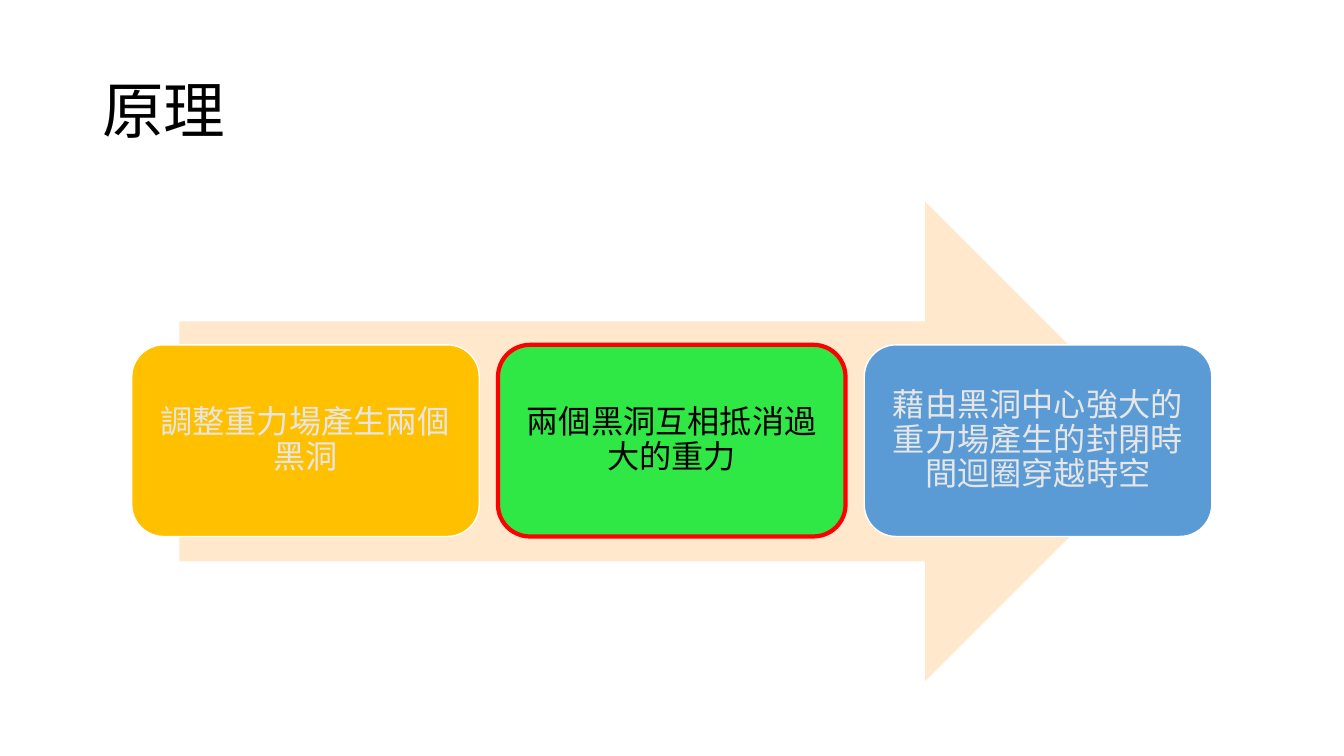
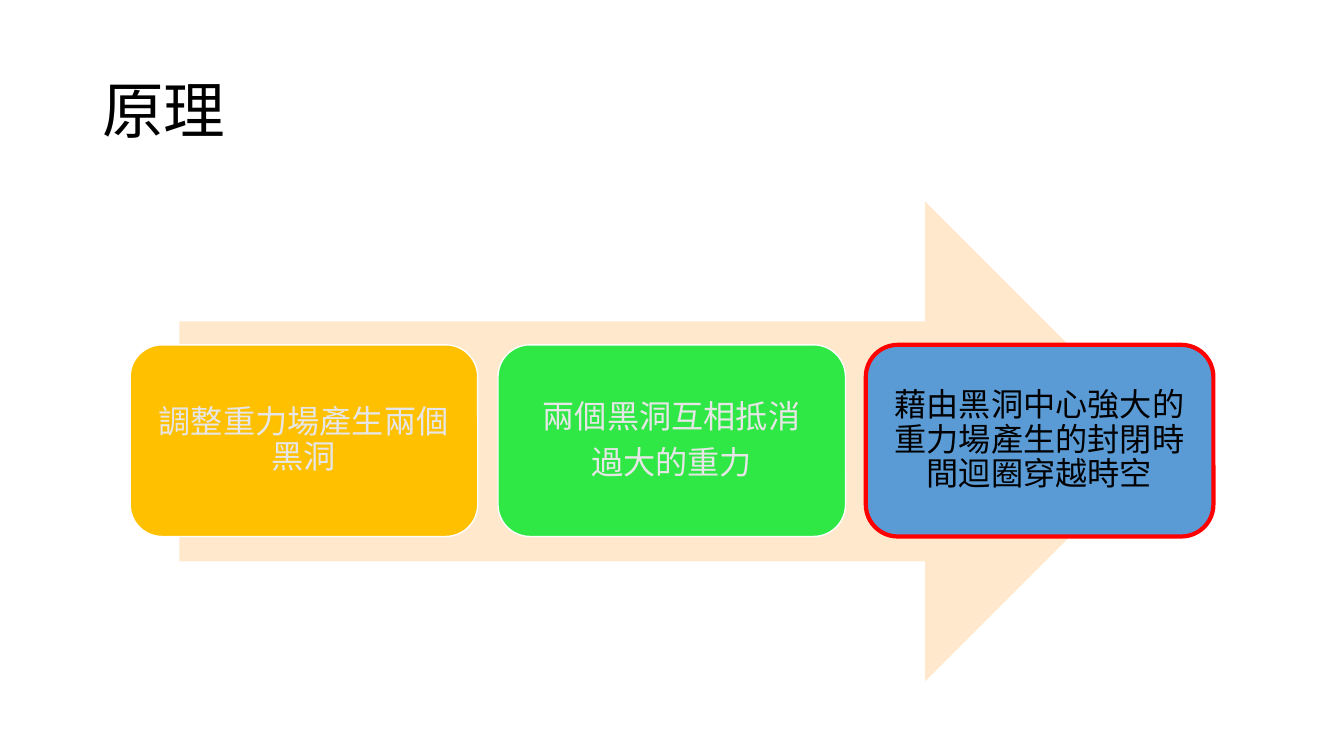
from lxml import etree
from pptx import Presentation
from pptx import util as u
from pptx.dml.color import RGBColor
from pptx.enum import shapes, text
from pptx.oxml.ns import qn

FONT = "Noto Sans CJK SC"
BLACK, WHITE, PALE, RED, CREAM = "000000", "FFFFFF", "E7E6E6", "FF0000", "FFE8CC"
STEP_FILLS = ["FFC000", "30E845", "5B9BD5"]
STEP_WIDTH, STEP_HEIGHT = 8.76, 4.83
MIDDLE_LEFT, STEP_TOP = 12.55, 8.69


def color(hex_string):
    return RGBColor.from_string(hex_string)


class Deck:
    def __init__(self):
        self.presentation = Presentation()
        self.presentation.slide_width = u.Cm(33.87)
        self.presentation.slide_height = u.Cm(19.05)
        self.slide = None

    def add_slide(self):
        layout = self.presentation.slide_layouts[6]
        self.slide = self.presentation.slides.add_slide(layout)

    def set_text(self, shape, content, size, hex_string, align, space_after=0):
        frame = shape.text_frame
        frame.text = content
        frame.word_wrap = True
        frame.vertical_anchor = text.MSO_ANCHOR.MIDDLE
        for paragraph in frame.paragraphs:
            paragraph.alignment = align
            paragraph.line_spacing = 0.9
            paragraph.space_after = u.Pt(space_after)
            for run in paragraph.runs:
                run.font.size = u.Pt(size)
                run.font.name = FONT
                run.font.color.rgb = color(hex_string)
                # Chinese glyphs take their typeface from a:ea
                east_asian = etree.SubElement(run._r.get_or_add_rPr(), qn("a:ea"))
                east_asian.set("typeface", FONT)

    def title(self, content):
        box = self.slide.shapes.add_textbox(
            u.Cm(2.33), u.Cm(1.01), u.Cm(29.21), u.Cm(3.68))
        self.set_text(box, content, 44, BLACK, text.PP_ALIGN.LEFT)

    def shape(self, kind, left, top, width, height, fill):
        shape = self.slide.shapes.add_shape(
            kind, u.Cm(left), u.Cm(top), u.Cm(width), u.Cm(height))
        shape.shadow.inherit = False
        shape.fill.solid()
        shape.fill.fore_color.rgb = color(fill)
        shape.line.fill.background()
        return shape

    def arrow(self):
        self.shape(shapes.MSO_SHAPE.RIGHT_ARROW, 4.52, 5.08, 24.84, 12.09, CREAM)

    def step(self, left, content, fill, active):
        """Add one rounded box; the active one has a red outline and black text."""
        box = self.shape(shapes.MSO_SHAPE.ROUNDED_RECTANGLE,
                         left, STEP_TOP, STEP_WIDTH, STEP_HEIGHT, fill)
        box.line.color.rgb = color(RED if active else WHITE)
        box.line.width = u.Pt(3 if active else 1)
        frame = box.text_frame
        frame.margin_left = frame.margin_right = u.Cm(0.25)
        frame.margin_top = frame.margin_bottom = u.Cm(0.25)
        self.set_text(box, content, 23, BLACK if active else PALE,
                      text.PP_ALIGN.CENTER, space_after=8)

    def process_slide(self, title, steps, active, pitch):
        self.add_slide()
        self.title(title)
        self.arrow()
        for index, (content, fill) in enumerate(zip(steps, STEP_FILLS)):
            left = MIDDLE_LEFT + (index - 1) * pitch
            self.step(left, content, fill, index == active)


def main():
    deck = Deck()
    first = "調整重力場產生兩個黑洞"
    last = "藉由黑洞中心強大的重力場產生的封閉時間迴圈穿越時空"
    deck.process_slide("原理", [first, "兩個黑洞互相抵消過大的重力", last],
                       active=1, pitch=9.23)
    deck.process_slide("原理", [first, "兩個黑洞互相抵消\n過大的重力", last],
                       active=2, pitch=9.27)
    deck.presentation.save("out.pptx")


if __name__ == "__main__":
    main()
